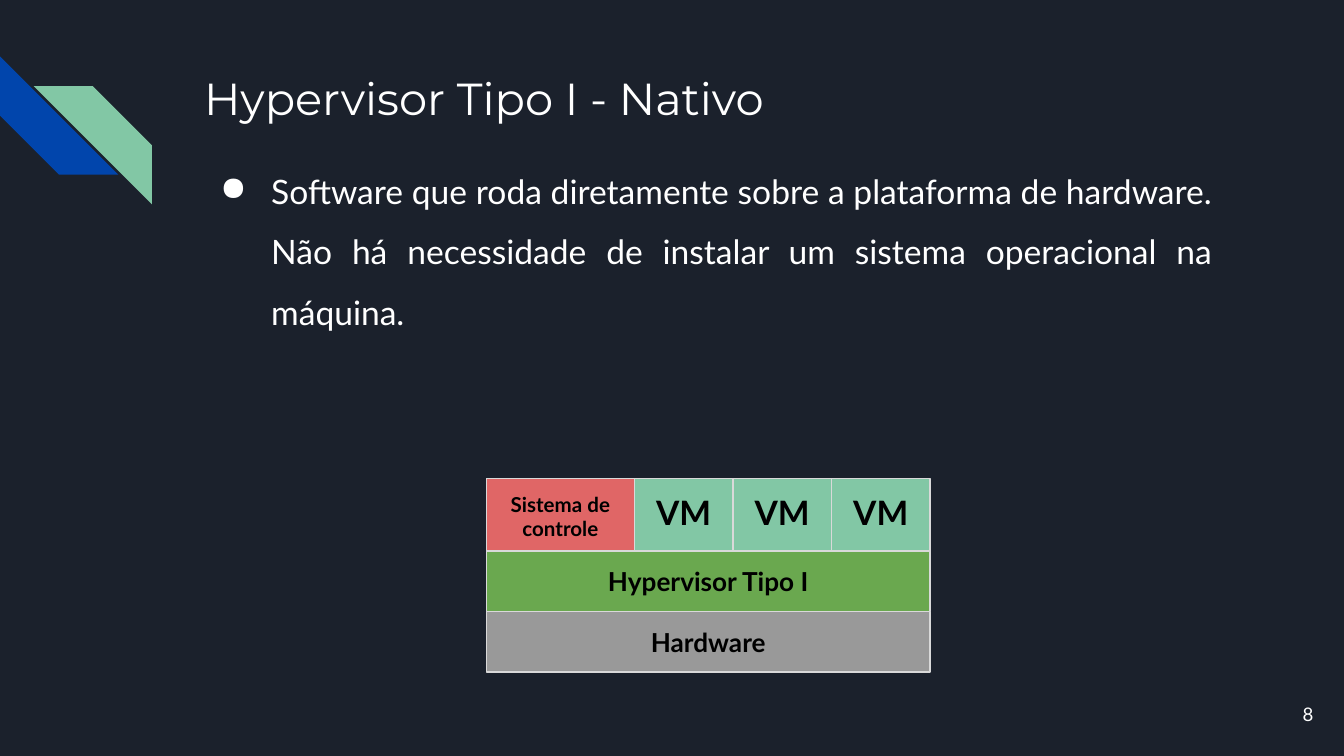
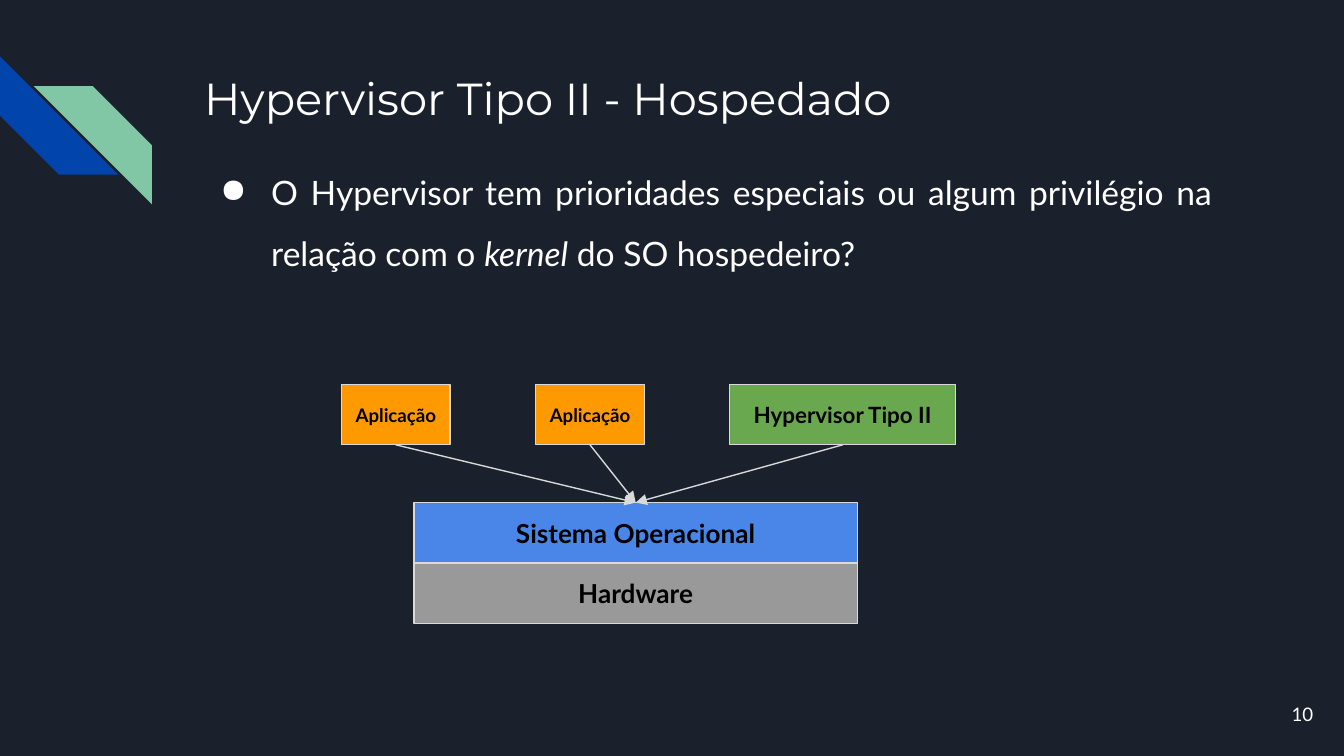
import pptx
import pptx.dml.color
import pptx.enum.shapes
import pptx.enum.text
import pptx.oxml
import pptx.util
from dataclasses import dataclass
from lxml import etree
from pptx.util import Inches

SHAPES = pptx.enum.shapes.MSO_SHAPE
ALIGN = pptx.enum.text.PP_ALIGN
ANCHOR = pptx.enum.text.MSO_ANCHOR


@dataclass(frozen=True)
class Theme:
    background: str = "1B212C"
    light: str = "FFFFFF"
    dark: str = "000000"
    outline: str = "D9D9D9"
    navy: str = "0145AC"
    mint: str = "82C7A5"
    red: str = "E06666"
    green: str = "6AA84F"
    gray: str = "999999"
    blue: str = "4A86E8"
    orange: str = "FF9900"
    title_font: str = "Montserrat"
    body_font: str = "Lato"
    title_size: int = 24
    body_size: int = 18
    layer_size: int = 14
    guest_size: int = 12
    control_size: int = 11
    small_size: int = 10
    line_width: float = 0.75


THEME = Theme()

# Body spans: (text, italic)
NATIVE = {
    "title": "Hypervisor Tipo I - Nativo",
    "body": [("Software que roda diretamente sobre a plataforma de hardware. "
              "Não há necessidade de instalar um sistema operacional na máquina.", False)],
    "body_top": 1.02,
    "body_height": 1.55,
    "number": "8",
}
HOSTED = {
    "title": "Hypervisor Tipo II - Hospedado",
    "body": [("O Hypervisor tem prioridades especiais ou algum privilégio na relação com o ", False),
             ("kernel", True),
             (" do SO hospedeiro?", False)],
    "body_top": 1.03,
    "body_height": 1.32,
    "number": "10",
}
# Layers from top to bottom: (text, colour)
NATIVE_LAYERS = [("Hypervisor Tipo I", THEME.green), ("Hardware", THEME.gray)]
HOSTED_LAYERS = [("Sistema Operacional", THEME.blue), ("Hardware", THEME.gray)]
VIRTUAL_MACHINES = ["VM", "VM", "VM"]
# Programs on the host: (text, colour, size, width)
PROGRAMS = [
    ("Aplicação", THEME.orange, THEME.small_size, 0.81),
    ("Aplicação", THEME.orange, THEME.small_size, 0.81),
    ("Hypervisor Tipo II", THEME.green, THEME.guest_size, 1.68),
]

STACK_WIDTH, LAYER_HEIGHT = 3.3, 0.45
CONTROL_WIDTH, MACHINE_HEIGHT = 1.1, 0.54
PROGRAM_PITCH = 1.445
TEXT_LEFT, TEXT_WIDTH = 1.42, 7.7


def rgb(color):
    return pptx.dml.color.RGBColor.from_string(color)


def style_font(font, size, color, name=THEME.body_font, bold=False, italic=False):
    font.name, font.size = name, pptx.util.Pt(size)
    font.color.rgb = rgb(color)
    font.bold, font.italic = bold, italic


def prepare_frame(frame, anchor):
    frame.word_wrap = True
    frame.vertical_anchor = anchor
    frame.margin_left = frame.margin_right = Inches(0.1)
    frame.margin_top = frame.margin_bottom = Inches(0.1)


def add_text(page, area, spans, size, font=THEME.body_font,
             align=ALIGN.LEFT, anchor=ANCHOR.TOP):
    """Add a one-paragraph text box and return its paragraph."""
    box = page.shapes.add_textbox(*map(Inches, area))
    prepare_frame(box.text_frame, anchor)
    para = box.text_frame.paragraphs[0]
    para.alignment = align
    for text, italic in spans:
        span = para.add_run()
        span.text = text
        style_font(span.font, size, THEME.light, font, italic=italic)
    return para


def add_bullet(para):
    properties = para._p.get_or_add_pPr()
    properties.set("marL", str(Inches(0.5)))
    properties.set("indent", str(Inches(-0.38)))
    color = etree.SubElement(properties, pptx.oxml.ns.qn("a:buClr"))
    etree.SubElement(color, pptx.oxml.ns.qn("a:srgbClr"), val=THEME.light)
    etree.SubElement(properties, pptx.oxml.ns.qn("a:buChar"), char="●")
    para.line_spacing = 1.5


def add_block(page, area, text, color, size=THEME.layer_size, anchor=ANCHOR.MIDDLE):
    block = page.shapes.add_shape(SHAPES.RECTANGLE, *map(Inches, area))
    block.shadow.inherit = False
    block.fill.solid()
    block.fill.fore_color.rgb = rgb(color)
    block.line.color.rgb = rgb(THEME.outline)
    block.line.width = pptx.util.Pt(THEME.line_width)
    prepare_frame(block.text_frame, anchor)
    block.text_frame.text = text
    para = block.text_frame.paragraphs[0]
    para.alignment = ALIGN.CENTER
    style_font(para.runs[0].font, size, THEME.dark, bold=True)
    return block


def add_layers(page, left, top, layers):
    return [add_block(page, (left, top + row * LAYER_HEIGHT, STACK_WIDTH, LAYER_HEIGHT), text, color)
            for row, (text, color) in enumerate(layers)]


def add_arrow(page, source, target):
    """Join the bottom of source to the top of target."""
    arrow = page.shapes.add_connector(pptx.enum.shapes.MSO_CONNECTOR.STRAIGHT, 0, 0, 0, 0)
    arrow.begin_connect(source, 2)
    arrow.end_connect(target, 0)
    arrow.line.color.rgb = rgb(THEME.outline)
    arrow.line.width = pptx.util.Pt(THEME.line_width)
    etree.SubElement(arrow.line._get_or_add_ln(), pptx.oxml.ns.qn("a:tailEnd"), type="triangle")
    etree.SubElement(arrow._element.spPr, pptx.oxml.ns.qn("a:effectLst"))


def add_page(deck, content):
    """Add a slide with its background, stripes, title, body and number."""
    page = deck.slides.add_slide(deck.slide_layouts[6])
    page.background.fill.solid()
    page.background.fill.fore_color.rgb = rgb(THEME.background)
    for left, top, rotation, color in [(0, 0.42, 270, THEME.navy), (0.25, 0.64, 90, THEME.mint)]:
        stripe = page.shapes.add_shape(SHAPES.DIAGONAL_STRIPE, *map(Inches, (left, top, 0.88, 0.88)))
        stripe.rotation = rotation
        stripe.shadow.inherit = False
        stripe.fill.solid()
        stripe.fill.fore_color.rgb = rgb(color)
        stripe.line.fill.background()
    add_text(page, (TEXT_LEFT, 0.43, TEXT_WIDTH, 1), [(content["title"], False)],
             THEME.title_size, THEME.title_font)
    body_area = (TEXT_LEFT, content["body_top"], TEXT_WIDTH, content["body_height"])
    add_bullet(add_text(page, body_area, content["body"], THEME.body_size, align=ALIGN.JUSTIFY))
    add_text(page, (9.27, 5.1, 0.6, 0.43), [(content["number"], False)],
             THEME.small_size, align=ALIGN.RIGHT, anchor=ANCHOR.MIDDLE)
    return page


def build_native(deck):
    page = add_page(deck, NATIVE)
    left, top = 3.62, 3.56
    add_layers(page, left, top + MACHINE_HEIGHT, NATIVE_LAYERS)
    add_block(page, (left, top, CONTROL_WIDTH, MACHINE_HEIGHT), "Sistema de controle",
              THEME.red, THEME.control_size, ANCHOR.TOP)
    width = (STACK_WIDTH - CONTROL_WIDTH) / len(VIRTUAL_MACHINES)
    for column, name in enumerate(VIRTUAL_MACHINES):
        add_block(page, (left + CONTROL_WIDTH + column * width, top, width, MACHINE_HEIGHT), name,
                  THEME.mint, THEME.body_size, ANCHOR.TOP)


def build_hosted(deck):
    page = add_page(deck, HOSTED)
    system, _ = add_layers(page, 3.08, 3.74, HOSTED_LAYERS)
    for column, (text, color, size, width) in enumerate(PROGRAMS):
        area = (2.54 + column * PROGRAM_PITCH, 2.86, width, LAYER_HEIGHT)
        add_arrow(page, add_block(page, area, text, color, size), system)


def main():
    deck = pptx.Presentation()
    deck.slide_width, deck.slide_height = Inches(10), Inches(5.625)
    build_native(deck)
    build_hosted(deck)
    deck.save("out.pptx")


if __name__ == "__main__":
    main()
